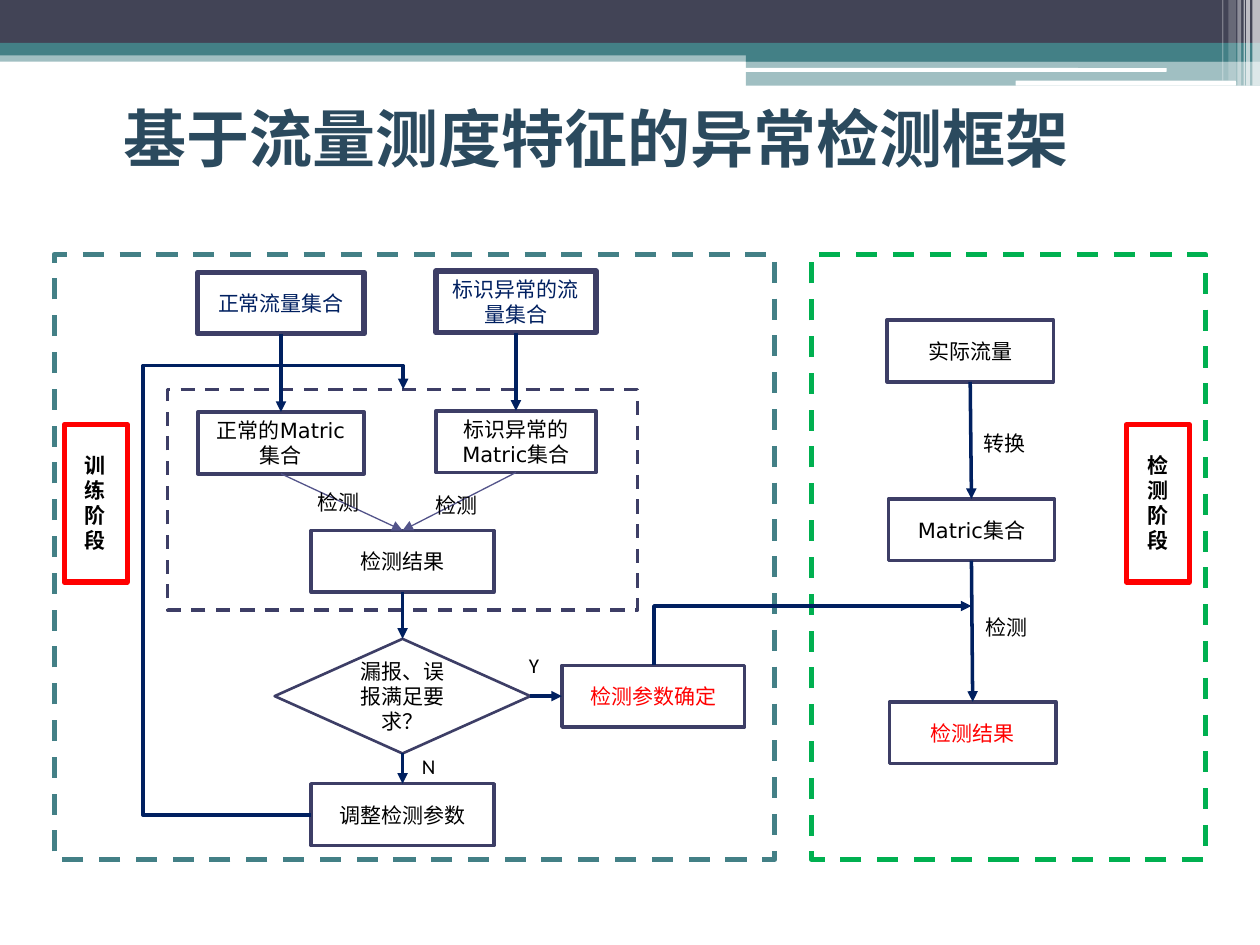
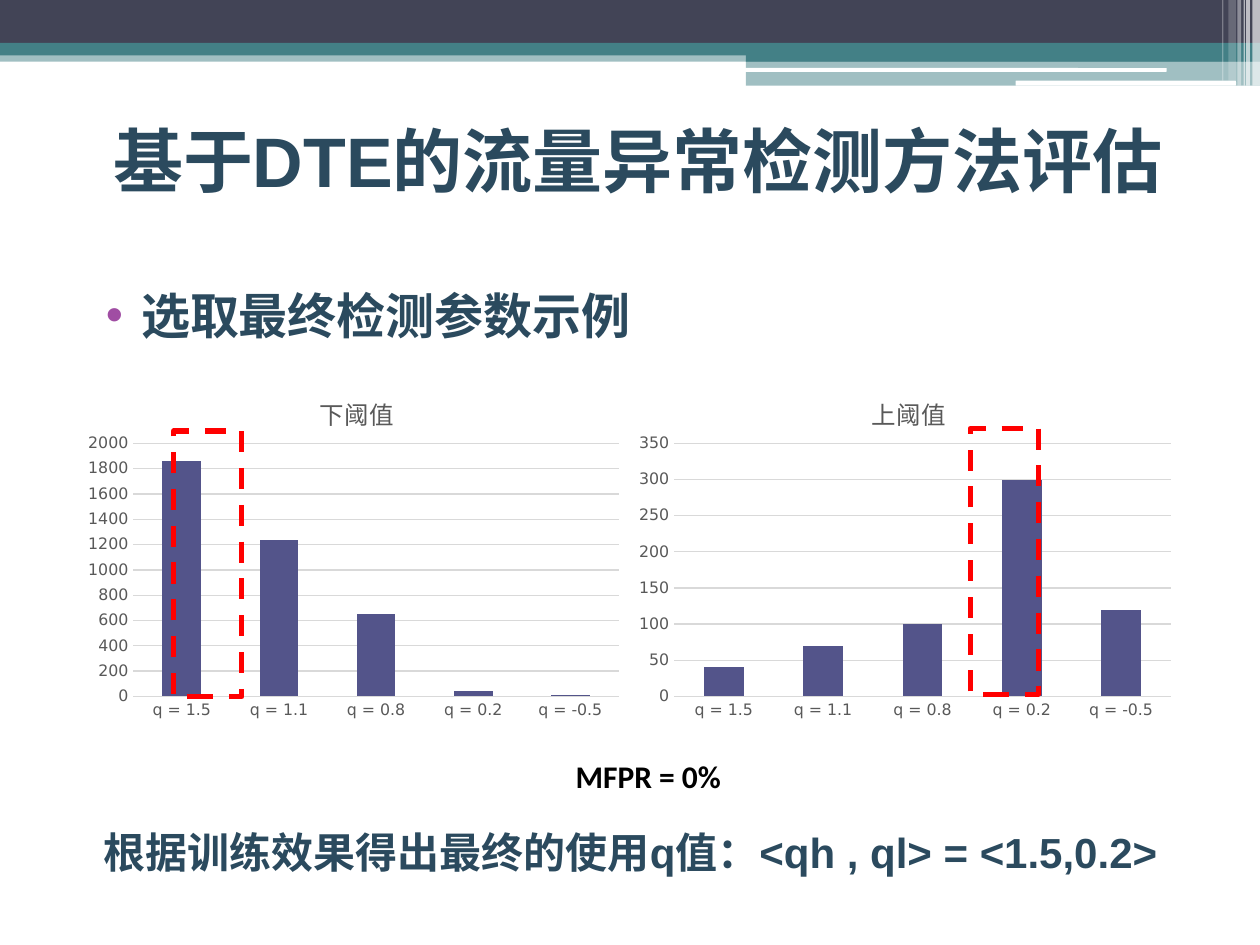
from lxml import etree
from pptx import Presentation
from pptx import util as u
from pptx.chart import data as chart_data
from pptx.dml.color import RGBColor
from pptx.enum import chart as ch
from pptx.enum import dml, shapes, text
from pptx.oxml import ns

SLATE = RGBColor(0x42, 0x44, 0x56)
TEAL = RGBColor(0x43, 0x80, 0x86)
WHITE = RGBColor(0xFF, 0xFF, 0xFF)
HEADING = RGBColor(0x2B, 0x4A, 0x5E)
INDIGO = RGBColor(0x3D, 0x3E, 0x66)
VIOLET = RGBColor(0x53, 0x54, 0x8A)
NAVY = RGBColor(0x00, 0x20, 0x60)
RED = RGBColor(0xFF, 0, 0)
GREEN = RGBColor(0, 0xB0, 0x50)
BLACK = RGBColor(0, 0, 0)
GREY = RGBColor(0x59, 0x59, 0x59)
GRID = RGBColor(0xD9, 0xD9, 0xD9)
RECT = shapes.MSO_SHAPE.RECTANGLE
ROUND = shapes.MSO_SHAPE.ROUNDED_RECTANGLE
DIAMOND = shapes.MSO_SHAPE.DIAMOND
STRAIGHT = shapes.MSO_CONNECTOR.STRAIGHT
ELBOW = shapes.MSO_CONNECTOR.ELBOW
TOP, LEFT, BOTTOM, RIGHT = range(4)


def outlined(slide, at, color, width, words="", ink=BLACK, kind=RECT, dashed=False):
    box = slide.shapes.add_shape(kind, *map(u.Inches, at))
    box.shadow.inherit = False
    box.fill.background()
    box.line.color.rgb = color
    box.line.width = u.Pt(width)
    if dashed:
        box.line.dash_style = dml.MSO_LINE.DASH
    if words:
        line = box.text_frame.paragraphs[0]
        line.text = words
        line.alignment = text.PP_ALIGN.CENTER
        line.font.name, line.font.size = "DejaVu Sans", u.Pt(12)
        line.font.color.rgb = ink
    return box


def arrow(slide, points, color=NAVY, width=2, kind=STRAIGHT, tip="tailEnd"):
    link = slide.shapes.add_connector(kind, *map(u.Inches, points))
    link.line.color.rgb = color
    link.line.width = u.Pt(width)
    outline = link.line._get_or_add_ln()
    etree.SubElement(outline, ns.qn("a:" + tip), type="triangle")
    etree.SubElement(outline.getparent(), ns.qn("a:effectLst"))
    return link


prs = Presentation()
prs.slide_width, prs.slide_height = u.Inches(10), u.Inches(7.5)
framework = prs.slides.add_slide(prs.slide_layouts[5])
evaluation = prs.slides.add_slide(prs.slide_layouts[1])

bands = [
    (RECT, (0, 0.4, 10, 0.09), TEAL, 50),
    (RECT, (0, 0, 10, 0.34), SLATE, 100),
    (RECT, (0, 0.34, 10, 0.1), TEAL, 100),
    (RECT, (5.92, 0.39, 4.08, 0.1), TEAL, 100),
    (RECT, (5.92, 0.48, 4.08, 0.2), TEAL, 50),
    (ROUND, (5.91, 0.54, 3.35, 0.03), WHITE, 100),
    (ROUND, (8.06, 0.64, 1.75, 0.04), WHITE, 100),
    (RECT, (9.94, 0, 0.06, 0.68), WHITE, 65),
    (RECT, (9.89, 0, 0.03, 0.68), WHITE, 65),
    (RECT, (9.87, 0, 0.01, 0.68), WHITE, 60),
    (RECT, (9.82, 0, 0.03, 0.68), WHITE, 40),
    (RECT, (9.75, 0, 0.06, 0.64), WHITE, 20),
    (RECT, (9.7, 0, 0.01, 0.64), WHITE, 30),
]
for depth, (kind, at, color, opacity) in enumerate(bands, 2):
    band = framework.shapes.add_shape(kind, *map(u.Inches, at))
    band.shadow.inherit = False
    band.fill.solid()
    band.fill.fore_color.rgb = color
    band.line.fill.background()
    if opacity < 100:
        tint = band.element.spPr.find(".//" + ns.qn("a:srgbClr"))
        etree.SubElement(tint, ns.qn("a:alpha"), val=str(opacity * 1000))
    prs.slide_master.shapes.element.insert(depth, band.element)

headings = [
    (framework, "基于流量测度特征的异常检测框架", (0.64, 0.77, 8.54, 0.64), 36, "DejaVu Sans", 0.24, text.PP_ALIGN.LEFT),
    (evaluation, "基于DTE的流量异常检测方法评估", (0.1, 0.68, 9.8, 1.17), 40, "Arial", 0.12, text.PP_ALIGN.CENTER),
]
for slide, words, at, size, face, indent, alignment in headings:
    title = slide.shapes.title
    title.left, title.top, title.width, title.height = map(u.Inches, at)
    title.text_frame.auto_size = text.MSO_AUTO_SIZE.NONE
    title.text_frame.vertical_anchor = text.MSO_ANCHOR.MIDDLE
    line = title.text_frame.paragraphs[0]
    line.text = words
    line.alignment = alignment
    line._p.get_or_add_pPr().set("marL", str(u.Inches(indent)))
    line.font.name, line.font.size, line.font.bold = face, u.Pt(size), True
    line.font.color.rgb = HEADING

outlined(framework, (0.43, 2.02, 5.72, 4.8), TEAL, 3, dashed=True)
outlined(framework, (6.44, 2.02, 3.13, 4.8), GREEN, 3, dashed=True)
outlined(framework, (1.33, 3.09, 3.73, 1.75), INDIGO, 2, dashed=True)
for stage_left in (0.51, 8.94):
    outlined(framework, (stage_left, 3.37, 0.5, 1.25), RED, 3)

normal_traffic = outlined(framework, (1.57, 2.16, 1.32, 0.49), INDIGO, 3, "正常流量集合", NAVY)
marked_traffic = outlined(framework, (3.46, 2.15, 1.27, 0.49), INDIGO, 3, "标识异常的流量集合", NAVY)
normal_metric = outlined(framework, (1.57, 3.27, 1.32, 0.49), INDIGO, 2, "正常的Matric集合")
marked_metric = outlined(framework, (3.46, 3.26, 1.27, 0.49), INDIGO, 2, "标识异常的Matric集合")
training_result = outlined(framework, (2.47, 4.21, 1.45, 0.49), INDIGO, 2, "检测结果")
requirement = outlined(framework, (2.18, 5.07, 2.03, 0.91), INDIGO, 1.5, "漏报、误报满足要求？", kind=DIAMOND)
adjustment = outlined(framework, (2.47, 6.22, 1.45, 0.49), INDIGO, 2, "调整检测参数")
parameters = outlined(framework, (4.46, 5.28, 1.45, 0.49), INDIGO, 2, "检测参数确定", RED)
real_traffic = outlined(framework, (7.04, 2.54, 1.32, 0.49), INDIGO, 2, "实际流量")
real_metric = outlined(framework, (7.05, 3.96, 1.32, 0.49), INDIGO, 2, "Matric集合")
final_result = outlined(framework, (7.06, 5.57, 1.32, 0.49), INDIGO, 2, "检测结果", RED)

flows = [
    (normal_traffic, BOTTOM, normal_metric, TOP, NAVY, 2),
    (marked_traffic, BOTTOM, marked_metric, TOP, NAVY, 2),
    (normal_metric, BOTTOM, training_result, TOP, VIOLET, 0.75),
    (marked_metric, BOTTOM, training_result, TOP, VIOLET, 0.75),
    (training_result, BOTTOM, requirement, TOP, NAVY, 2),
    (requirement, BOTTOM, adjustment, TOP, NAVY, 2),
    (requirement, RIGHT, parameters, LEFT, NAVY, 2),
    (real_traffic, BOTTOM, real_metric, TOP, NAVY, 2),
    (real_metric, BOTTOM, final_result, TOP, NAVY, 2),
]
for source, source_side, target, target_side, color, width in flows:
    flow = arrow(framework, (0, 0, 1, 1), color, width)
    flow.begin_connect(source, source_side)
    flow.end_connect(target, target_side)

retry = arrow(framework, (2.47, 6.47, 3.2, 3.09), kind=ELBOW)
retry_shape = retry.element.spPr.find(ns.qn("a:prstGeom"))
retry_shape.set("prst", "bentConnector4")
retry_bends = retry_shape.find(ns.qn("a:avLst"))
for name, value in (("adj1", -183000), ("adj2", 105600)):
    etree.SubElement(retry_bends, ns.qn("a:gd"), name=name, fmla=f"val {value}")
handover = arrow(framework, (7.71, 4.81, 5.19, 5.28), kind=ELBOW, tip="headEnd")
handover.element.spPr.find(ns.qn("a:prstGeom")).set("prst", "bentConnector2")

captions = [
    (framework, "检测", (2.42, 3.84, 0.56, 0.3), 12, "Calibri", BLACK, False),
    (framework, "检测", (3.36, 3.86, 0.56, 0.3), 12, "Calibri", BLACK, False),
    (framework, "转换", (7.71, 3.37, 0.56, 0.3), 12, "Calibri", BLACK, False),
    (framework, "检测", (7.72, 4.83, 0.56, 0.3), 12, "Calibri", BLACK, False),
    (framework, "Y", (4.1, 5.13, 0.3, 0.3), 12, "Calibri", BLACK, False),
    (framework, "N", (3.25, 5.93, 0.32, 0.3), 12, "Calibri", BLACK, False),
    (framework, "训练阶段", (0.57, 3.54, 0.36, 0.91), 12, "Calibri", BLACK, True),
    (framework, "检测阶段", (9.01, 3.54, 0.36, 0.91), 12, "Calibri", BLACK, True),
    (evaluation, "MFPR = 0%", (4.47, 5.96, 1.46, 0.4), 18, "Calibri", BLACK, True),
    (evaluation, "根据训练效果得出最终的使用q值：<qh , ql> = <1.5,0.2>", (0.2, 6.51, 9.61, 0.5), 24, "Arial", HEADING, True),
]
for slide, words, at, size, face, color, bold in captions:
    caption = slide.shapes.add_textbox(*map(u.Inches, at))
    caption.text_frame.word_wrap = True
    line = caption.text_frame.paragraphs[0]
    line.text = words
    line.font.name, line.font.size, line.font.bold = face, u.Pt(size), bold
    line.font.color.rgb = color
line.alignment = text.PP_ALIGN.CENTER

example = evaluation.placeholders[1]
example.left, example.top, example.width, example.height = map(u.Inches, (0.62, 1.98, 5.01, 0.81))
example.text_frame.auto_size = text.MSO_AUTO_SIZE.NONE
line = example.text_frame.paragraphs[0]
line.text = "选取最终检测参数示例"
bullet = line._p.get_or_add_pPr()
bullet.set("marL", str(u.Inches(0.4)))
bullet.set("indent", str(u.Inches(-0.28)))
bullet_color = etree.SubElement(bullet, ns.qn("a:buClr"))
etree.SubElement(bullet_color, ns.qn("a:srgbClr"), val="A04DA3")
etree.SubElement(bullet, ns.qn("a:buFont"), typeface="Arial")
etree.SubElement(bullet, ns.qn("a:buChar"), char="•")
line.line_spacing = 1.5
line.space_before = u.Pt(0)
line.font.name, line.font.size, line.font.bold = "Arial", u.Pt(28), True
line.font.color.rgb = HEADING

thresholds = [
    ("下阈值", 0.62, (1860, 1240, 650, 40, 10), 2000, 200, 0.1),
    ("上阈值", 5, (40, 70, 100, 300, 120), 350, 50, 0.08),
]
for name, left, counts, top_value, step, plot_left in thresholds:
    table = chart_data.CategoryChartData()
    table.categories = ["q = 1.5", "q = 1.1", "q = 0.8", "q = 0.2", "q = -0.5"]
    table.add_series("Series 1", counts)
    chart = evaluation.shapes.add_chart(
        ch.XL_CHART_TYPE.COLUMN_CLUSTERED, *map(u.Inches, (left, 2.88, 4.38, 2.91)), table).chart
    chart.font.name, chart.font.size = "DejaVu Sans", u.Pt(10)
    chart.has_legend = False
    line = chart.chart_title.text_frame.paragraphs[0]
    line.text = name
    line.font.name, line.font.size, line.font.bold = "DejaVu Sans", u.Pt(14), False
    line.font.color.rgb = GREY
    plot = chart.plots[0]
    plot.gap_width = 150
    plot.vary_by_categories = False
    plot.series[0].format.fill.solid()
    plot.series[0].format.fill.fore_color.rgb = VIOLET
    for axis in (chart.category_axis, chart.value_axis):
        axis.major_tick_mark = axis.minor_tick_mark = ch.XL_TICK_MARK.NONE
        axis.format.line.fill.background()
        axis.tick_labels.font.name, axis.tick_labels.font.size = "DejaVu Sans", u.Pt(9)
        axis.tick_labels.font.color.rgb = GREY
    axis.minimum_scale, axis.maximum_scale, axis.major_unit = 0, top_value, step
    axis.major_gridlines.format.line.color.rgb = GRID
    axis.major_gridlines.format.line.width = u.Pt(0.75)
    areas = [
        ("c:title", 1, {"xMode": "edge", "yMode": "edge", "x": 0.43, "y": 0.07}),
        ("c:plotArea", 0, {"layoutTarget": "inner", "xMode": "edge", "yMode": "edge",
                           "x": plot_left, "y": 0.22, "w": 0.98 - plot_left, "h": 0.69}),
    ]
    for tag, place, settings in areas:
        area = chart.element.find(".//" + ns.qn(tag))
        for automatic in area.findall(ns.qn("c:layout")):
            area.remove(automatic)
        layout = etree.Element(ns.qn("c:layout"))
        area.insert(place, layout)
        manual = etree.SubElement(layout, ns.qn("c:manualLayout"))
        for key, value in settings.items():
            etree.SubElement(manual, ns.qn("c:" + key), val=str(value))

for choice_left, choice_top in ((1.38, 3.42), (7.7, 3.4)):
    outlined(evaluation, (choice_left, choice_top, 0.54, 2.11), RED, 3, dashed=True)

prs.save("out.pptx")
